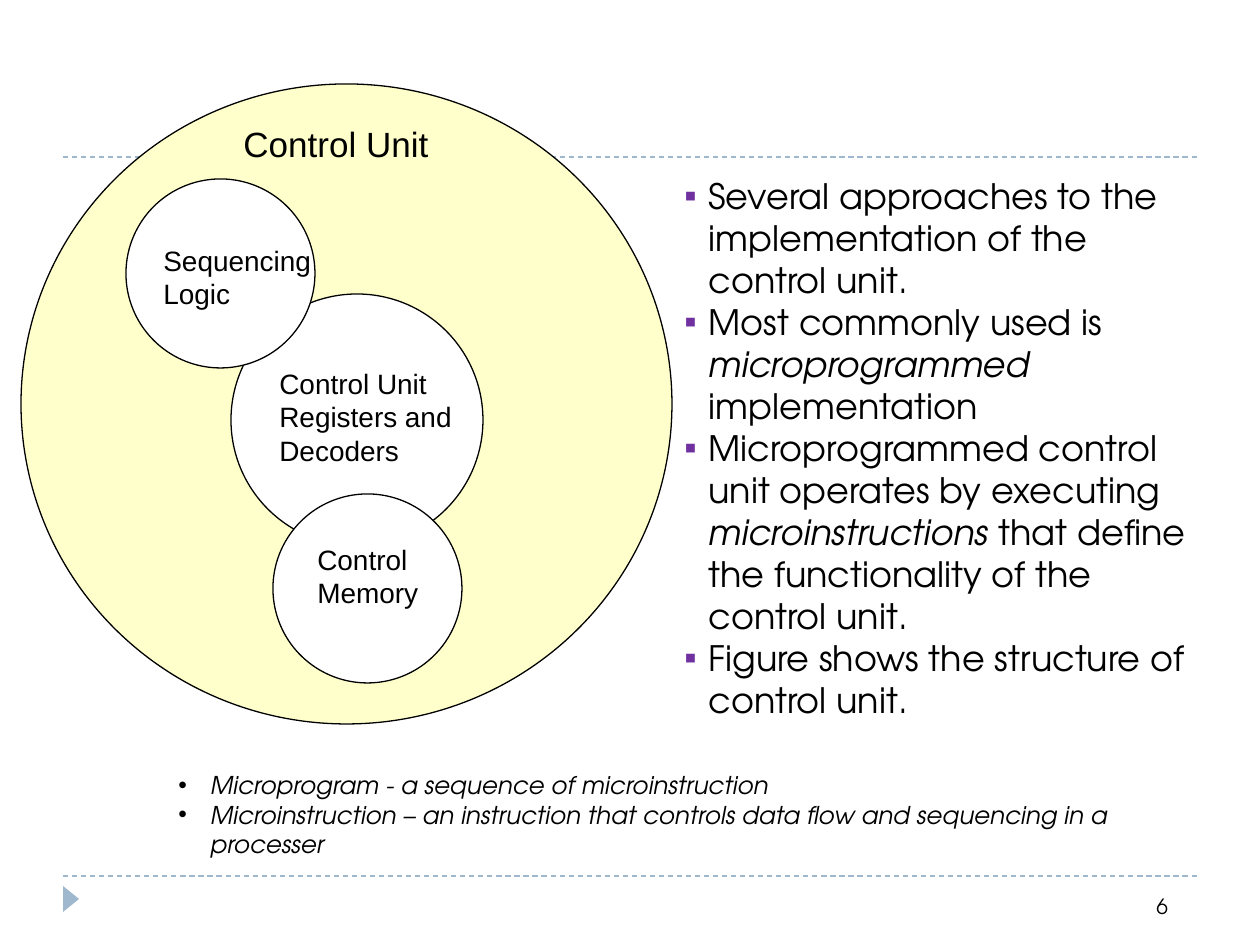
"""Build the slide on the structure of a microprogrammed control unit."""
from dataclasses import dataclass

from lxml.etree import SubElement
from pptx import Presentation
from pptx.dml.color import RGBColor
from pptx.enum.dml import MSO_LINE
from pptx.enum.shapes import MSO_CONNECTOR, MSO_SHAPE
from pptx.enum.text import MSO_ANCHOR, PP_ALIGN
from pptx.oxml.ns import qn
from pptx.util import Pt


@dataclass(frozen=True)
class Theme:
    heading_font: str = "Arial"
    body_font: str = "TeX Gyre Adventor"
    ink: str = "000000"
    paper: str = "FFFFFF"
    unit: str = "FFFFCC"
    rule: str = "9FB8CD"
    accent: str = "7030A0"
    large: int = 20
    label: int = 16
    note: int = 14
    number: int = 12
    stroke: float = 0.75


THEME = Theme()
EMU_PER_PX = 914400 / 126
SLIDE_SIZE = 1260, 945

RULE_SPAN = 63, 1197
RULE_HEIGHTS = 876, 157
MARKER = 58, 891, 26, 16

CIRCLES = [
    ((21, 84, 651, 640), THEME.unit),
    ((231, 294, 252, 252), THEME.paper),
    ((126, 179, 189, 189), THEME.paper),
    ((273, 494, 189, 189), THEME.paper),
]
LABELS = [
    ((305, 536, 126, 81), ["Control", "Memory"]),
    ((267, 360, 205, 113), ["Control Unit", "Registers and", "Decoders"]),
    ((151, 237, 173, 81), ["Sequencing", "Logic"]),
]
UNIT_TITLE = (231, 116, 210, 55), ["Control Unit"]
PAGE_NUMBER = (1144, 887, 129, 42), ["6"]

POINTS = [
    [("Several approaches to the implementation of the control unit.", False)],
    [("Most commonly used is ", False), ("microprogrammed", True), (" implementation", False)],
    [
        ("Microprogrammed control unit operates by executing ", False),
        ("microinstructions", True),
        (" that define the functionality of the control unit.", False),
    ],
    [("Figure shows the structure of control unit.", False)],
]
POINTS_BOX = 672, 168, 546, 559
DEFINITIONS = [
    "Microprogram - a sequence of microinstruction",
    "Microinstruction – an instruction that controls data flow and sequencing in a processer",
]
DEFINITIONS_BOX = 166, 764, 1021, 72


def px(*lengths):
    return [round(length * EMU_PER_PX) for length in lengths]


def rgb(value):
    return RGBColor.from_string(value)


def add_rule(slide, height):
    left, right = RULE_SPAN
    rule = slide.shapes.add_connector(MSO_CONNECTOR.STRAIGHT, *px(left, height, right, height))
    rule.line.color.rgb = rgb(THEME.rule)
    rule.line.width = Pt(THEME.stroke)
    rule.line.dash_style = MSO_LINE.DASH
    SubElement(rule.element.spPr, qn("a:effectLst"))


def add_solid(slide, preset, box, fill):
    solid = slide.shapes.add_shape(preset, *px(*box))
    solid.shadow.inherit = False
    solid.fill.solid()
    solid.fill.fore_color.rgb = rgb(fill)
    return solid


def add_circle(slide, box, fill):
    circle = add_solid(slide, MSO_SHAPE.OVAL, box, fill)
    circle.line.color.rgb = rgb(THEME.ink)
    circle.line.width = Pt(THEME.stroke)


def add_marker(slide):
    marker = add_solid(slide, MSO_SHAPE.ISOSCELES_TRIANGLE, MARKER, THEME.rule)
    marker.line.fill.background()
    marker.rotation = 90


def set_bullet(paragraph, character, color, indent):
    properties = paragraph._p.get_or_add_pPr()
    [hang] = px(indent)
    properties.set("marL", str(hang))
    properties.set("indent", str(-hang))
    bullet_color = SubElement(properties, qn("a:buClr"))
    SubElement(bullet_color, qn("a:srgbClr"), val=color)
    SubElement(properties, qn("a:buFont"), typeface="Arial")
    SubElement(properties, qn("a:buChar"), char=character)


def add_text(slide, box, lines, font, size, wrap=False, bullet=None, italic=None):
    frame = slide.shapes.add_textbox(*px(*box)).text_frame
    frame.word_wrap = wrap
    for index, line in enumerate(lines):
        paragraph = frame.add_paragraph() if index else frame.paragraphs[0]
        if bullet:
            set_bullet(paragraph, *bullet)
        paragraph.font.name = font
        paragraph.font.size = Pt(size)
        paragraph.font.color.rgb = rgb(THEME.ink)
        paragraph.font.italic = italic
        for words, emphasis in [(line, False)] if isinstance(line, str) else line:
            run = paragraph.add_run()
            run.text = words
            if emphasis:
                run.font.italic = True
    return frame


def main():
    presentation = Presentation()
    presentation.slide_width, presentation.slide_height = px(*SLIDE_SIZE)
    slide = presentation.slides.add_slide(presentation.slide_layouts[6])

    for height in RULE_HEIGHTS:
        add_rule(slide, height)
    add_marker(slide)
    add_text(slide, POINTS_BOX, POINTS, THEME.body_font, THEME.large,
             wrap=True, bullet=("▪", THEME.accent, 24))
    for box, fill in CIRCLES:
        add_circle(slide, box, fill)
    for box, lines in LABELS:
        add_text(slide, box, lines, THEME.heading_font, THEME.label)
    unit_title = add_text(slide, *UNIT_TITLE, THEME.heading_font, THEME.large)
    unit_title.vertical_anchor = MSO_ANCHOR.MIDDLE
    unit_title.paragraphs[0].alignment = PP_ALIGN.CENTER
    add_text(slide, *PAGE_NUMBER, THEME.body_font, THEME.number)
    add_text(slide, DEFINITIONS_BOX, DEFINITIONS, THEME.body_font, THEME.note,
             wrap=True, bullet=("•", THEME.ink, 32), italic=True)

    presentation.save("out.pptx")


if __name__ == "__main__":
    main()
